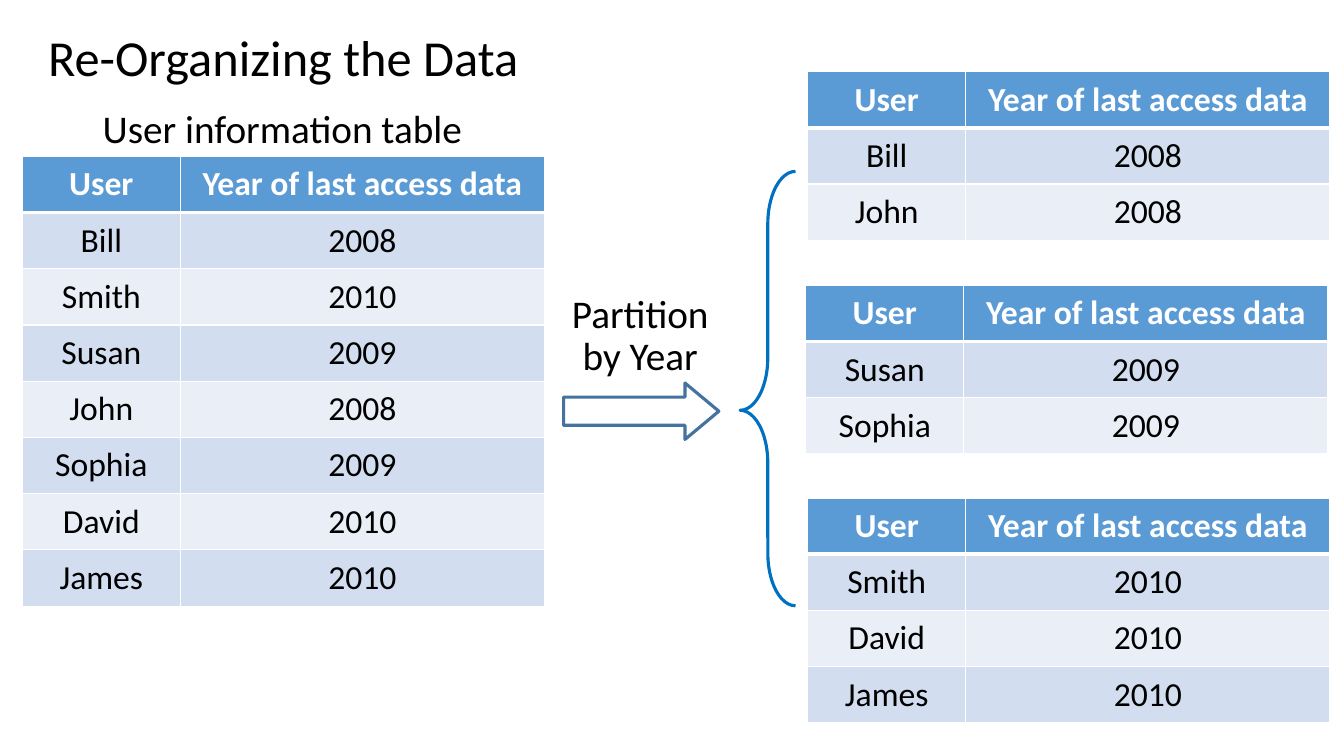
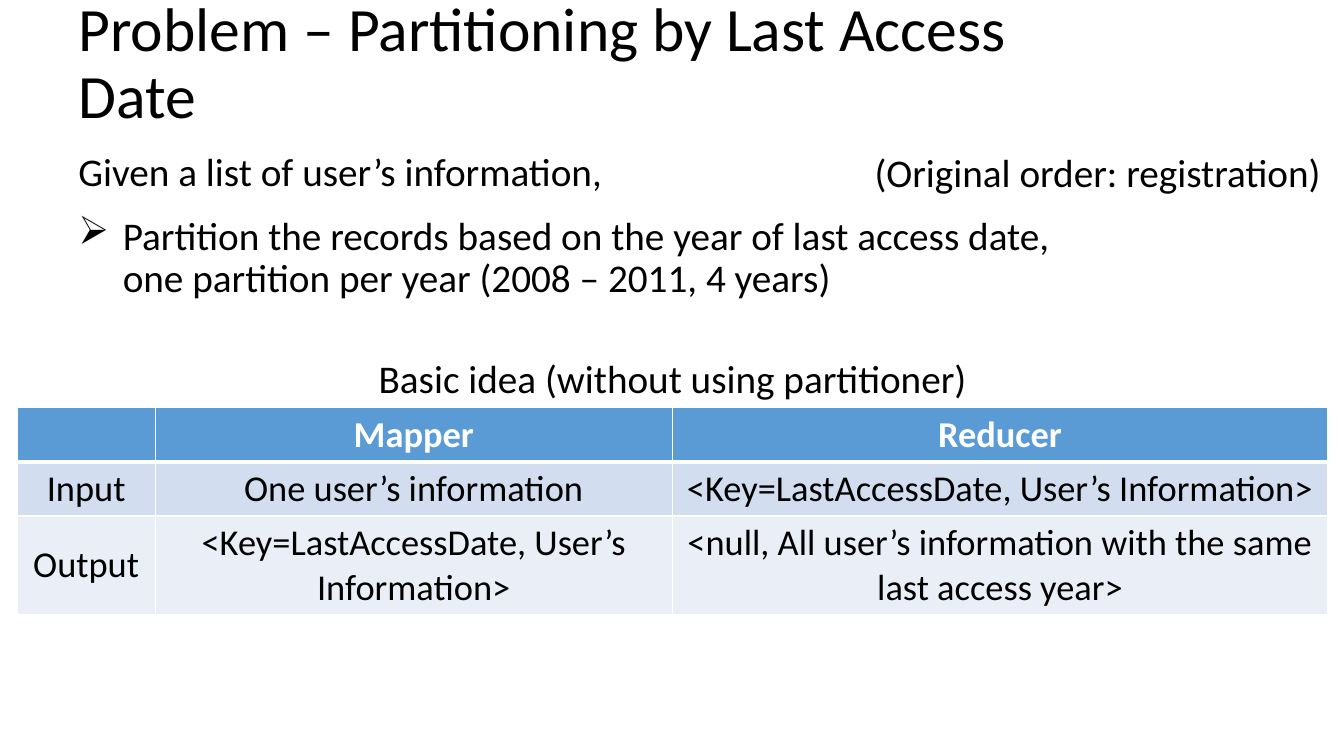
"""Build two slides on partitioning user records by year of last access."""
from dataclasses import dataclass

from lxml import etree
from pptx import Presentation
from pptx import util as u
from pptx.dml.color import RGBColor
from pptx.enum import shapes, text
from pptx.oxml import ns


@dataclass(frozen=True)
class Theme:
    font: str = "Calibri"
    ink: str = "000000"
    white: str = "FFFFFF"
    header: str = "5B9BD5"
    bands: tuple = ("D2DEEF", "EAEFF7")
    arrow: str = "43739E"
    brace: str = "0070C0"
    title: int = 44
    heading: int = 36
    body: int = 28
    wide_table: int = 26
    user_table: int = 24
    outline: float = 2.25
    rule: int = 1
    header_rule: int = 3


theme = Theme()
LEFT, CENTER = text.PP_ALIGN.LEFT, text.PP_ALIGN.CENTER
TOP, MIDDLE = text.MSO_ANCHOR.TOP, text.MSO_ANCHOR.MIDDLE


def add_text(page, place, words, size=theme.body, align=LEFT, anchor=TOP, before=10, spacing=0.9):
    box = page.shapes.add_textbox(*map(u.Inches, place))
    frame = box.text_frame
    frame.word_wrap = True
    frame.vertical_anchor = anchor
    frame.text = words
    para = frame.paragraphs[0]
    para.alignment = align
    para.line_spacing = spacing
    para.space_before = u.Pt(before)
    span = para.runs[0]
    span.font.name = theme.font
    span.font.size = u.Pt(size)
    span.font.color.rgb = RGBColor.from_string(theme.ink)
    return para


def add_table(page, left, top, widths, heights, rows, size):
    place = map(u.Inches, (left, top, sum(widths), sum(heights)))
    table = page.shapes.add_table(len(rows), len(widths), *place).table
    for column, width in zip(table.columns, widths):
        column.width = u.Inches(width)
    for number, (row, height, values) in enumerate(zip(table.rows, heights, rows)):
        row.height = u.Inches(height)
        is_header = number == 0
        fill = theme.header if is_header else theme.bands[(number - 1) % 2]
        rules = {"lnL": theme.rule, "lnR": theme.rule,
                 "lnT": theme.header_rule if number == 1 else theme.rule,
                 "lnB": theme.header_rule if is_header else theme.rule}
        for cell, value in zip(row.cells, values):
            properties = cell._tc.get_or_add_tcPr()
            for side, weight in rules.items():
                line = etree.SubElement(properties, ns.qn(f"a:{side}"), w=str(u.Pt(weight)))
                solid = etree.SubElement(line, ns.qn("a:solidFill"))
                etree.SubElement(solid, ns.qn("a:srgbClr"), val=theme.white)
            cell.fill.solid()
            cell.fill.fore_color.rgb = RGBColor.from_string(fill)
            cell.vertical_anchor = MIDDLE
            cell.text_frame.text = value
            para = cell.text_frame.paragraphs[0]
            para.alignment = CENTER
            para.font.size = u.Pt(size)
            for span in para.runs:
                span.font.name = theme.font
                span.font.size = u.Pt(size)
                span.font.bold = is_header
                span.font.color.rgb = RGBColor.from_string(theme.white if is_header else theme.ink)


deck = Presentation()
deck.slide_width, deck.slide_height = u.Inches(13.33), u.Inches(7.5)
blank = deck.slide_layouts[6]

page = deck.slides.add_slide(blank)
add_text(page, (0.22, 0.21, 5.18, 0.71), "Re-Organizing the Data", theme.heading, CENTER,
         before=0, spacing=1.0)
add_text(page, (0.92, 1.04, 3.78, 0.49), "User information table")
add_text(page, (5.56, 2.87, 1.58, 0.92), "Partition by Year", align=CENTER)

header = ("User", "Year of last access data")
users = [("Bill", "2008"), ("Smith", "2010"), ("Susan", "2009"), ("John", "2008"),
         ("Sophia", "2009"), ("David", "2010"), ("James", "2010")]
partitions = [(8.01, 0.71, "2008"), (7.99, 2.83, "2009"), (8.01, 4.94, "2010")]
user_tables = [(0.22, 1.55, users)]
for left, top, year in partitions:
    user_tables.append((left, top, [user for user in users if user[1] == year]))
for left, top, records in user_tables:
    rows = [header, *records]
    add_table(page, left, top, (1.57, 3.61), [0.558] * len(rows), rows, theme.user_table)

outlines = [
    (shapes.MSO_SHAPE.RIGHT_ARROW, (5.59, 3.8, 1.54, 0.56), (0.5, 0.6), theme.arrow),
    (shapes.MSO_SHAPE.LEFT_BRACE, (7.34, 1.7, 0.55, 4.31), (0.95, 0.55), theme.brace),
]
for kind, place, adjustments, color in outlines:
    outline = page.shapes.add_shape(kind, *map(u.Inches, place))
    outline.shadow.inherit = False
    outline.fill.background()
    outline.line.color.rgb = RGBColor.from_string(color)
    outline.line.width = u.Pt(theme.outline)
    for index, value in enumerate(adjustments):
        outline.adjustments[index] = value

page = deck.slides.add_slide(blank)
add_text(page, (0.68, 0.2, 10.71, 0.89), "Problem – Partitioning by Last Access Date",
         theme.title, anchor=MIDDLE, before=0)
add_text(page, (8.54, 1.47, 4.69, 0.55), "(Original order: registration)", align=CENTER)
add_text(page, (0.68, 1.47, 5.71, 0.6), "Given a list of user’s information,")
task = add_text(page, (0.68, 2.1, 10, 0.99),
                "Partition the records based on the year of last access date, "
                "one partition per year (2008 – 2011, 4 years)")
properties = task._p.get_or_add_pPr()
properties.set("marL", str(u.Inches(0.44)))
properties.set("indent", str(u.Inches(-0.44)))
etree.SubElement(properties, ns.qn("a:buChar"), char="➢")

add_text(page, (3.6, 3.52, 6.14, 0.55), "Basic idea (without using partitioner)", align=CENTER)
keyed_user = "<Key=LastAccessDate, User’s Information>"
add_table(page, 0.17, 4.04, (1.37, 5.13, 6.5), (0.54, 0.54, 0.98), [
    ("", "Mapper", "Reducer"),
    ("Input", "One user’s information", keyed_user),
    ("Output", keyed_user, "<null, All user’s information with the same last access year>"),
], theme.wide_table)

deck.save("out.pptx")
